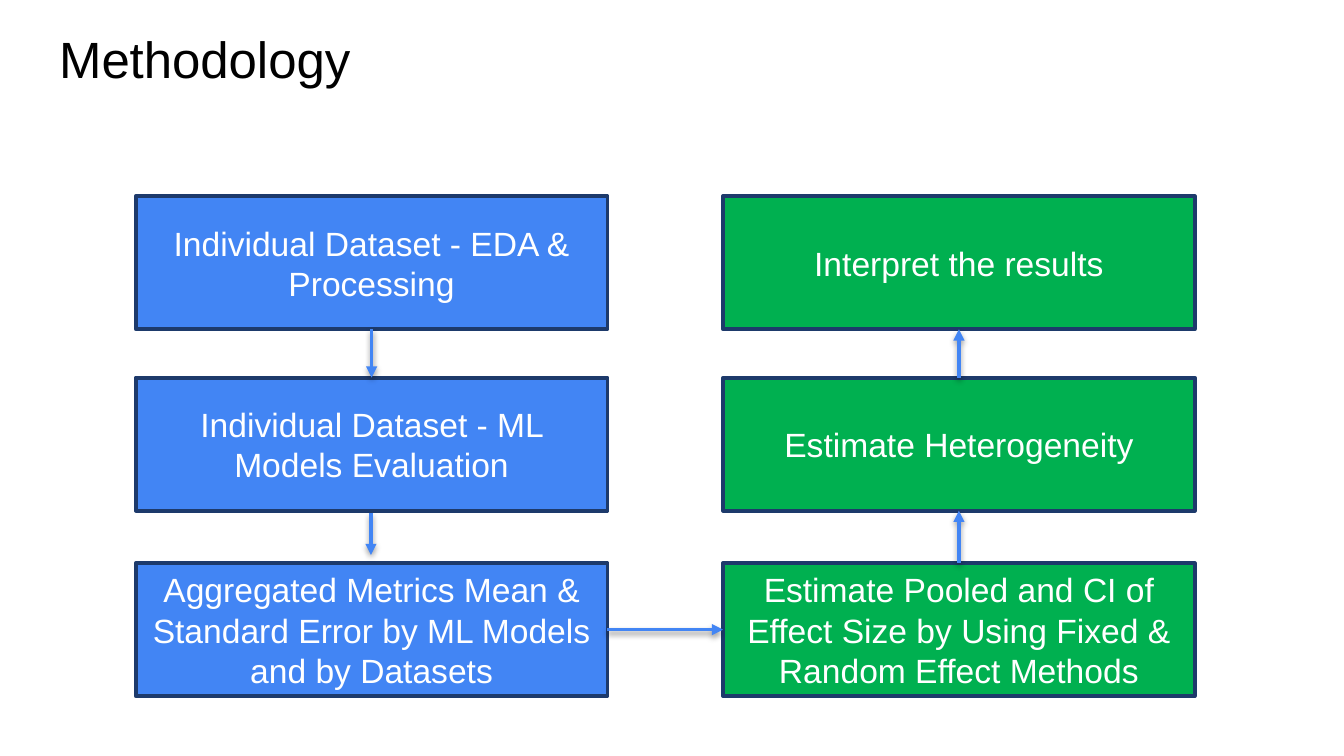
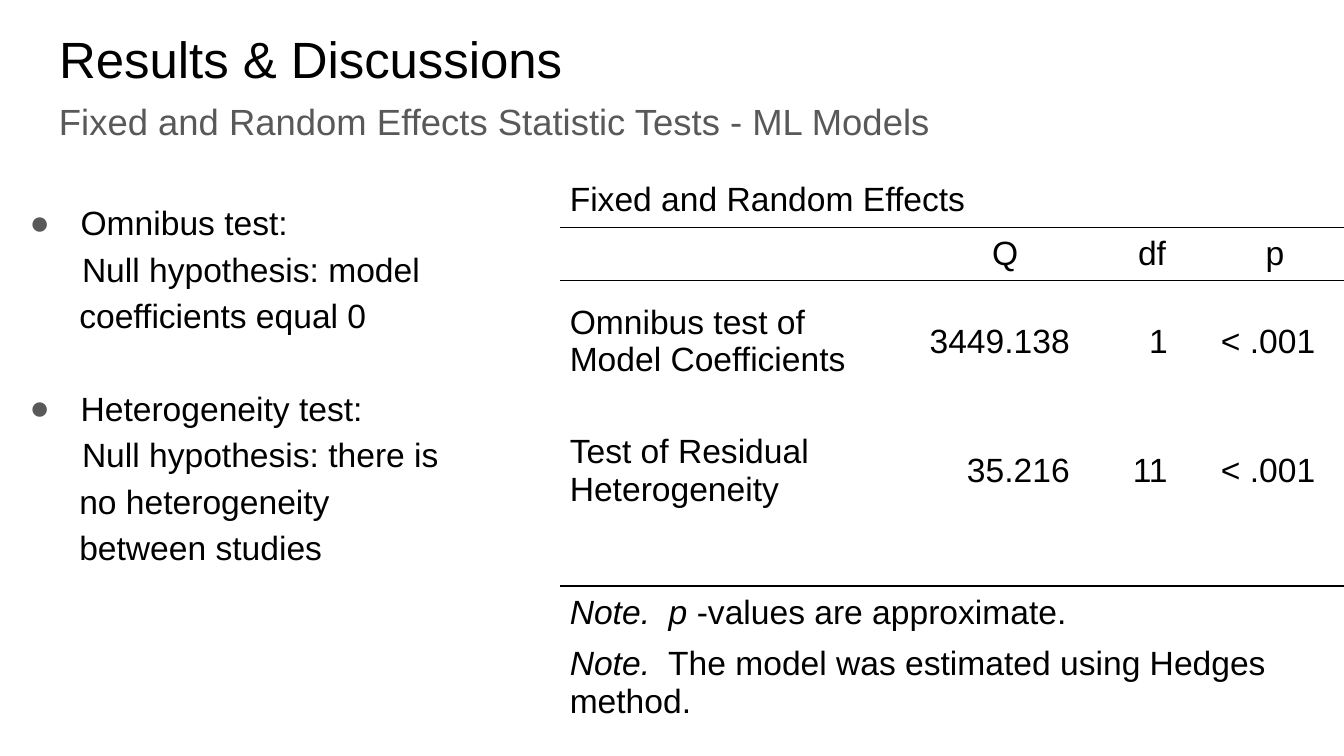
"""Build two slides: a methodology flow chart and the results of the statistic tests."""
from lxml import etree
from pptx import Presentation
from pptx.dml.color import RGBColor
from pptx.enum import shapes, text
from pptx.oxml import ns
from pptx.util import Inches, Pt

BLACK = RGBColor(0x00, 0x00, 0x00)
WHITE = RGBColor(0xFF, 0xFF, 0xFF)
GRAY = RGBColor(0x59, 0x59, 0x59)
BLUE = RGBColor(0x42, 0x85, 0xF4)
GREEN = RGBColor(0x00, 0xB0, 0x50)
NAVY = RGBColor(0x1D, 0x3A, 0x6B)
FONT = "Arial"
LEFT, CENTER, RIGHT = text.PP_ALIGN.LEFT, text.PP_ALIGN.CENTER, text.PP_ALIGN.RIGHT


def add_xml(parent, tag, **attributes):
    return etree.SubElement(parent, ns.qn(tag), attributes)


def format_text(shape, box, size, color, spacing):
    shape.left, shape.top, shape.width, shape.height = map(Inches, box)
    frame = shape.text_frame
    frame.word_wrap = True
    frame.auto_size = text.MSO_AUTO_SIZE.NONE
    frame.vertical_anchor = text.MSO_ANCHOR.TOP
    frame.margin_left = frame.margin_right = Inches(0.1)
    frame.margin_top = frame.margin_bottom = Inches(0.1)
    for paragraph in frame.paragraphs:
        paragraph.alignment = LEFT
        paragraph.line_spacing = spacing
        paragraph.space_before = Pt(0)
        paragraph.font.name = FONT
        paragraph.font.size = Pt(size)
        paragraph.font.color.rgb = color


presentation = Presentation()
presentation.slide_width = Inches(10)
presentation.slide_height = presentation.slide_width * 9 // 16

slides = []
for layout, title in ((5, "Methodology"), (1, "Results & Discussions")):
    slide = presentation.slides.add_slide(presentation.slide_layouts[layout])
    slide.shapes.title.text = title
    format_text(slide.shapes.title, (0.34, 0.16, 9.32, 0.63), 27.3, BLACK, 0.9)
    slides.append(slide)
method_slide, results_slide = slides

columns = (
    (1.01, BLUE, ("Individual Dataset - EDA & Processing",
                  "Individual Dataset - ML Models Evaluation",
                  "Aggregated Metrics Mean & Standard Error by ML Models and by Datasets")),
    (5.38, GREEN, ("Interpret the results",
                   "Estimate Heterogeneity",
                   "Estimate Pooled and CI of Effect Size by Using Fixed & Random Effect Methods")),
)
steps = []
for left, fill, labels in columns:
    for top, label in zip((1.46, 2.81, 4.19), labels):
        step = method_slide.shapes.add_shape(
            shapes.MSO_SHAPE.RECTANGLE, Inches(left), Inches(top), Inches(3.51), Inches(0.99))
        step.shadow.inherit = False
        step.fill.solid()
        step.fill.fore_color.rgb = fill
        step.line.color.rgb = NAVY
        step.line.width = Pt(2)
        step.text_frame.text = label
        step.text_frame.vertical_anchor = text.MSO_ANCHOR.MIDDLE
        paragraph = step.text_frame.paragraphs[0]
        paragraph.alignment = CENTER
        paragraph.font.name = FONT
        paragraph.font.size = Pt(18)
        paragraph.font.color.rgb = WHITE
        steps.append(step)

eda, evaluation, metrics, interpretation, heterogeneity, pooling = steps
arrows = (
    (eda, 2, evaluation, 0),
    (None, None, None, None),
    (metrics, 3, pooling, 1),
    (pooling, 0, heterogeneity, 2),
    (heterogeneity, 0, interpretation, 2),
)
for source, source_side, target, target_side in arrows:
    arrow = method_slide.shapes.add_connector(
        shapes.MSO_CONNECTOR.STRAIGHT, Inches(2.76), Inches(3.82), Inches(2.76), Inches(4.13))
    if source:
        arrow.begin_connect(source, source_side)
        arrow.end_connect(target, target_side)
    arrow.line.color.rgb = BLUE
    arrow.line.width = Pt(2)
    add_xml(arrow.line._get_or_add_ln(), "a:tailEnd", type="triangle")
    effects = add_xml(arrow._element.spPr, "a:effectLst")
    shadow = add_xml(effects, "a:outerShdw", blurRad="40000", dist="20000",
                     dir="5400000", rotWithShape="0")
    add_xml(add_xml(shadow, "a:srgbClr", val=str(BLACK)), "a:alpha", val="38000")

subtitle = results_slide.shapes.add_textbox(0, 0, 0, 0)
subtitle.text_frame.text = "Fixed and Random Effects Statistic Tests - ML Models"
format_text(subtitle, (0.34, 0.64, 9.32, 0.63), 19.5, GRAY, 1)

tests = (
    ("Omnibus test:", "Null hypothesis: model coefficients equal 0"),
    ("Heterogeneity test:", "Null hypothesis: there is no heterogeneity between studies"),
)
body = results_slide.placeholders[1]
body.text_frame.text = "\n".join(line for test in tests for line in test)
for index, paragraph in enumerate(body.text_frame.paragraphs):
    properties = paragraph._p.get_or_add_pPr()
    is_heading = index % 2 == 0
    properties.set("marL", str(Inches(0.5 if is_heading else 0.49)))
    properties.set("indent", str(Inches(-0.38 if is_heading else 0.02)))
    if is_heading:
        add_xml(add_xml(properties, "a:buClr"), "a:srgbClr", val=str(GRAY))
        add_xml(properties, "a:buChar", char="●")
    else:
        add_xml(properties, "a:buNone")
format_text(body, (0, 1.36, 3.38, 4.1), 18, BLACK, 1.15)
body.text_frame.paragraphs[2].space_before = Pt(25)

widths = (2.4, 0.17, 1.28, 0.17, 0.55, 0.17, 0.92, 0.17)
heights = (0.4, 0.4, 0.9, 1.03, 0.11, 0.4, 0.4)
rules = {0: 0.6, 1: 0.6, 4: 1.2}
contents = {
    (0, 0): "Fixed and Random Effects",
    (1, 2): "Q", (1, 4): "df", (1, 6): "p",
    (2, 0): "Omnibus test of Model Coefficients",
    (2, 2): "3449.138", (2, 4): "1", (2, 6): "< .001",
    (3, 0): "Test of Residual Heterogeneity",
    (3, 2): "35.216", (3, 4): "11", (3, 6): "< .001",
    (5, 0): ("Note.  p", " -values are approximate."),
    (6, 0): ("Note.", "  The model was estimated using Hedges method."),
}
table = results_slide.shapes.add_table(
    len(heights), len(widths), Inches(4.17), Inches(1.29),
    Inches(sum(widths)), Inches(sum(heights))).table
table.first_row = table.horz_banding = False
for column, width in zip(table.columns, widths):
    column.width = Inches(width)
for row, height in zip(table.rows, heights):
    row.height = Inches(height)
for row in (0, 4, 5, 6):
    table.cell(row, 0).merge(table.cell(row, 7))
for column in (0, 2, 4, 6):
    table.cell(1, column).merge(table.cell(1, column + 1))

for row in range(len(heights)):
    sides = (("a:lnL", None), ("a:lnR", None),
             ("a:lnT", rules.get(row - 1)), ("a:lnB", rules.get(row)))
    for column in range(len(widths)):
        cell = table.cell(row, column)
        content = contents.get((row, column))
        cell.margin_left = cell.margin_right = Inches(0.07)
        cell.margin_top = cell.margin_bottom = Inches(0.04 if content else 0.03)
        cell.vertical_anchor = text.MSO_ANCHOR.MIDDLE
        properties = cell._tc.get_or_add_tcPr()
        for side, rule in sides:
            border = add_xml(properties, side, w=str(Pt(rule or 0)))
            if rule:
                add_xml(add_xml(border, "a:solidFill"), "a:srgbClr", val=str(BLACK))
            else:
                add_xml(border, "a:noFill")
        cell.fill.background()
        paragraph = cell.text_frame.paragraphs[0]
        if isinstance(content, tuple):
            for part, italic in zip(content, (True, False)):
                run = paragraph.add_run()
                run.text = part
                run.font.italic = italic
        elif content:
            paragraph.text = content
        paragraph.alignment = LEFT if column == 0 else CENTER if row == 1 else RIGHT
        paragraph.font.name = FONT
        paragraph.font.size = Pt(18)
        paragraph.font.color.rgb = BLACK

presentation.save("out.pptx")
